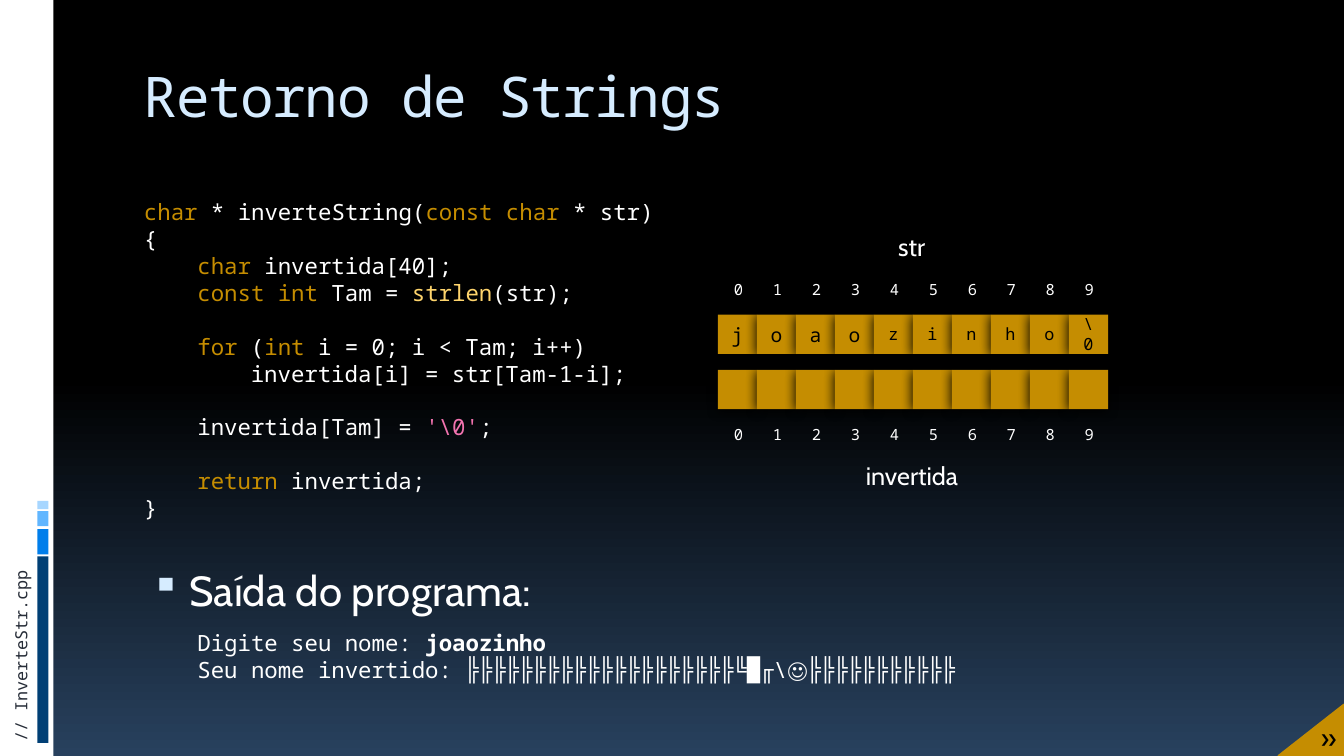
import pptx
import pptx.util
import pptx.dml.color
import pptx.enum.shapes
import pptx.enum.text
import lxml.etree

Inches = pptx.util.Inches
Pt = pptx.util.Pt
RGBColor = pptx.dml.color.RGBColor
RECTANGLE = pptx.enum.shapes.MSO_SHAPE.RECTANGLE

WHITE = RGBColor(0xFF, 0xFF, 0xFF)
BLACK = RGBColor(0, 0, 0)
NAVY = RGBColor(0x28, 0x41, 0x5E)
PALE_BLUE = RGBColor(0xD6, 0xEC, 0xFF)
GOLD = RGBColor(0xC5, 0x8D, 0x01)
YELLOW = RGBColor(0xFE, 0xD4, 0x6C)
PINK = RGBColor(0xF2, 0x73, 0xAF)
SLATE = RGBColor(0x27, 0x2D, 0x38)
MONO = "Noto Sans Mono"
SANS = "Cabin"

presentation = pptx.Presentation()
presentation.slide_width = Inches(13.33)
presentation.slide_height = Inches(7.5)
slide = presentation.slides.add_slide(presentation.slide_layouts[6])

backdrop = slide.background.fill
backdrop.gradient()
backdrop.gradient_angle = 270
for stop, position, color in zip(backdrop.gradient_stops, (0.5, 1), (BLACK, NAVY)):
    stop.position = position
    stop.color.rgb = color


def add_text(left, top, width, height, lines, size, font=MONO, wrap=True):
    box = slide.shapes.add_textbox(Inches(left), Inches(top), Inches(width), Inches(height))
    box.text_frame.word_wrap = wrap
    for number, runs in enumerate(lines):
        paragraph = box.text_frame.paragraphs[0] if number == 0 else box.text_frame.add_paragraph()
        for text, color, *bold in runs:
            run = paragraph.add_run()
            run.text = text
            run.font.size = Pt(size)
            run.font.name = font
            run.font.color.rgb = color
            run.font.bold = bool(bold)
    return box


def add_block(left, top, width, height, color):
    block = slide.shapes.add_shape(RECTANGLE, Inches(left), Inches(top), Inches(width), Inches(height))
    block.shadow.inherit = False
    block.fill.solid()
    block.fill.fore_color.rgb = color
    block.line.fill.background()
    return block


add_block(0, 0, 0.53, 7.5, WHITE)
for top, height, color in (
    (5.52, 1.85, RGBColor(0x00, 0x3F, 0x75)),
    (5.25, 0.25, RGBColor(0x00, 0x7E, 0xEB)),
    (5.07, 0.15, RGBColor(0x61, 0xB6, 0xFF)),
    (4.97, 0.08, RGBColor(0xA7, 0xD6, 0xFF)),
):
    add_block(0.37, top, 0.11, height, color)
file_name = add_text(-0.78, 6.32, 1.97, 0.3, [[("// InverteStr.cpp", SLATE)]], 12)
file_name.rotation = 270

title = add_text(1.33, 0.56, 11.33, 1, [[("Retorno de Strings", PALE_BLUE)]], 40)
title.text_frame.paragraphs[0].runs[0].font._element.set("spc", "-100")

code = [
    (0, 0, [("char", GOLD), (" * inverteString(", WHITE), ("const char", GOLD), (" * str)", WHITE)]),
    (0, 0, [("{", WHITE)]),
    (1, 0, [("char", GOLD), (" invertida[40];", WHITE)]),
    (1, 0, [("const int ", GOLD), ("Tam = ", WHITE), ("strlen", YELLOW), ("(str);", WHITE)]),
    (1, 1, [("for", GOLD), (" (", WHITE), ("int", GOLD), (" i = 0; i < Tam; i++)", WHITE)]),
    (2, 0, [("invertida[i] = str[Tam-1-i];", WHITE)]),
    (1, 1, [("invertida[Tam] = ", WHITE), ("'\\0'", PINK), (";", WHITE)]),
    (1, 1, [("return", GOLD), (" invertida;", WHITE)]),
    (0, 0, [("}", WHITE)]),
]
listing = add_text(1.33, 1.92, 9.23, 3.33, [runs for _, _, runs in code], 16)
for paragraph, (depth, gap, _) in zip(listing.text_frame.paragraphs, code):
    paragraph.space_before = Pt(19.2 * gap)
    paragraph._p.get_or_add_pPr().set("marL", str(Inches(0.53 * depth)))

heading = add_text(1.33, 5.55, 9.83, 0.6, [[("Saída do programa:", WHITE)]], 30, SANS)
bullet = heading.text_frame.paragraphs[0]._p.get_or_add_pPr()
bullet.set("marL", str(Inches(0.45)))
bullet.set("indent", str(Inches(-0.38)))
for markup in (
    f'<a:buClr {{}}><a:srgbClr val="{PALE_BLUE}"/></a:buClr>',
    '<a:buSzPct {} val="95000"/>',
    '<a:buChar {} char="▪"/>',
):
    namespace = 'xmlns:a="http://schemas.openxmlformats.org/drawingml/2006/main"'
    bullet.append(lxml.etree.fromstring(markup.format(namespace)))

garbage = "╠" * 20 + "╚█╓\\☺" + "╠" * 11
add_text(1.86, 6.19, 8.41, 0.64, [
    [("Digite seu nome: ", WHITE), ("joaozinho", WHITE, True)],
    [("Seu nome invertido: " + garbage, WHITE)],
], 16)

letters = [*"joaozinho", "\\0"]
cell_size = 0.39
pitch = 3.48 / 9
for cell_top, index_top, contents in ((3.67, 4.17, [""] * 10), (3.12, 2.73, letters)):
    for index, letter in enumerate(contents):
        cell = add_block(7.12 + index * pitch, cell_top, cell_size, cell_size, GOLD)
        effects = cell._element.spPr.find(pptx.oxml.ns.qn("a:effectLst"))
        shadow = lxml.etree.SubElement(
            effects, pptx.oxml.ns.qn("a:outerShdw"), blurRad=str(Pt(8.5)),
            dist=str(Pt(1)), dir="5400000", rotWithShape="0")
        lxml.etree.SubElement(shadow, pptx.oxml.ns.qn("a:srgbClr"), val=str(BLACK))
        if letter:
            cell.text_frame.word_wrap = True
            cell.text_frame.vertical_anchor = pptx.enum.text.MSO_ANCHOR.MIDDLE
            paragraph = cell.text_frame.paragraphs[0]
            paragraph.alignment = pptx.enum.text.PP_ALIGN.CENTER
            run = paragraph.add_run()
            run.text = letter
            run.font.size = Pt(14 if index < 4 else 12)
            run.font.name = MONO
            run.font.color.rgb = BLACK
        add_text(7.18 + index * pitch, index_top, 0.29, 0.29, [[(str(index), WHITE)]], 11, wrap=False)

add_text(8.81, 2.25, 0.48, 0.4, [[("str", WHITE)]], 18, SANS, wrap=False)
add_text(8.49, 4.52, 1.13, 0.4, [[("invertida", WHITE)]], 18, SANS, wrap=False)

outline = slide.shapes.build_freeform(Inches(12.68), Inches(7.5))
outline.add_line_segments([(Inches(13.33), Inches(6.99)), (Inches(13.33), Inches(7.5))], close=True)
corner = outline.convert_to_shape()
corner.shadow.inherit = False
corner.fill.solid()
corner.fill.fore_color.rgb = GOLD
corner.line.color.rgb = GOLD
corner.line.width = Pt(1.5)
next_mark = add_text(12.93, 7.1, 0.43, 0.44, [[("»", BLACK)]], 20, SANS)
next_mark.text_frame.paragraphs[0]._p.get_or_add_pPr().set("marL", str(Inches(0.07)))

presentation.save("out.pptx")
